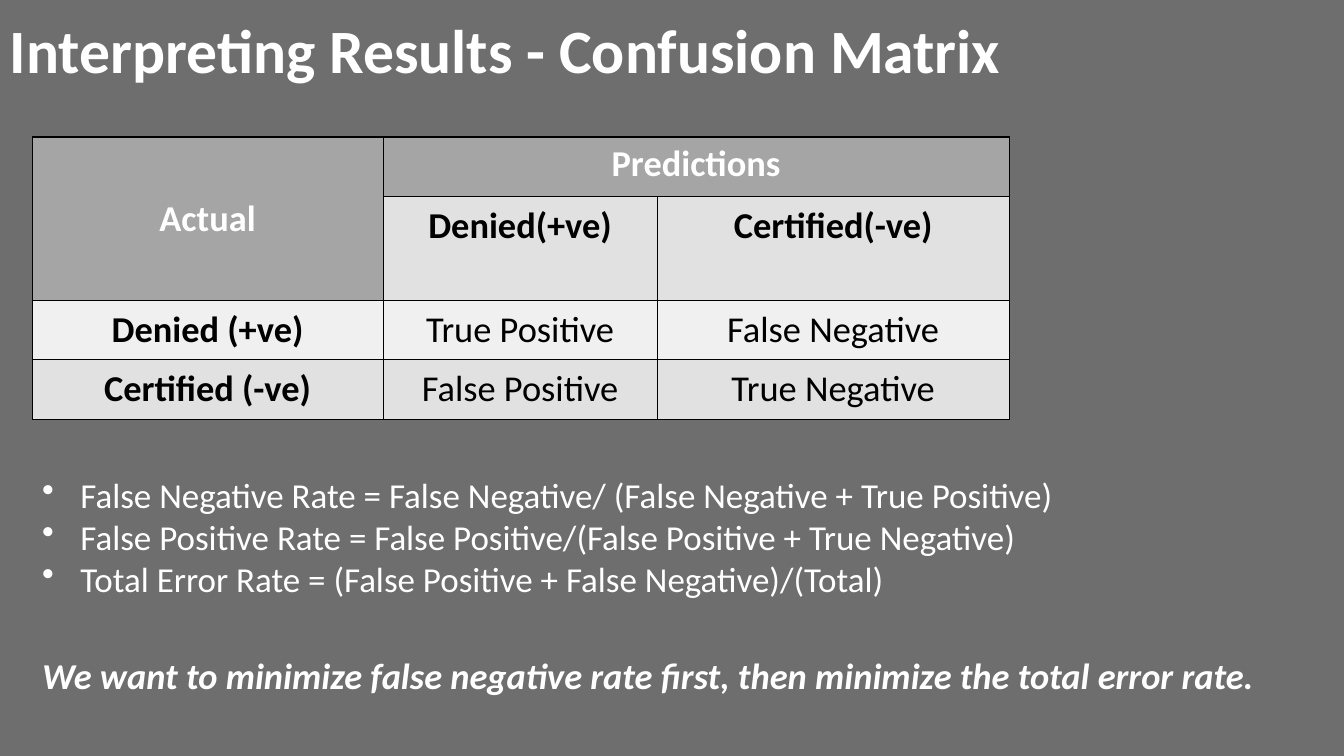
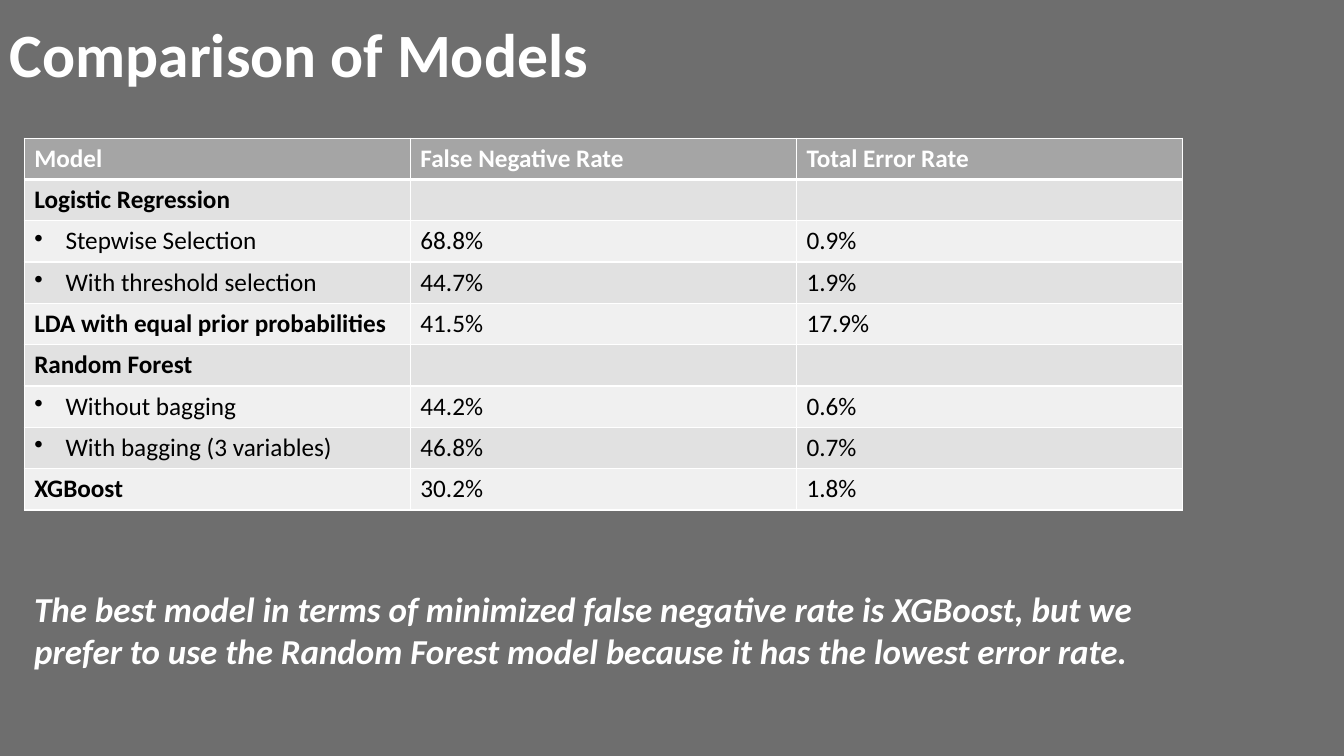
from dataclasses import dataclass

from pptx import Presentation
from pptx.dml.color import RGBColor
from pptx.enum.text import MSO_ANCHOR, PP_ALIGN
from pptx.oxml import parse_xml
from pptx.oxml.ns import nsdecls
from pptx.slide import Slide
from pptx.table import Table, _Cell
from pptx.text.text import TextFrame
from pptx.util import Inches, Pt


@dataclass(frozen=True)
class Theme:
    font: str = "Calibri"
    page: str = "6E6E6E"
    light: str = "FFFFFF"
    dark: str = "000000"
    header: str = "A5A5A5"
    bands: tuple[str, str] = ("E1E1E1", "F0F0F0")
    title_size: int = 44
    matrix_size: int = 26
    body_size: int = 25
    models_size: int = 18


@dataclass(frozen=True)
class Area:
    left: float
    top: float
    width: float
    height: float

    def lengths(self) -> tuple[int, ...]:
        return tuple(Inches(n) for n in (self.left, self.top, self.width, self.height))


@dataclass(frozen=True)
class Model:
    name: str
    false_negative: str = ""
    total_error: str = ""
    variant: bool = False


THEME = Theme()
PAGE_WIDTH, PAGE_HEIGHT = 13.33, 7.5

MATRIX = (
    ("Actual", "Predictions", ""),
    ("", "Denied(+ve)", "Certified(-ve)"),
    ("Denied (+ve)", "True Positive", "False Negative"),
    ("Certified (-ve)", "False Positive", "True Negative"),
)
RATES = (
    "False Negative Rate = False Negative/ (False Negative + True Positive)",
    "False Positive Rate = False Positive/(False Positive + True Negative)",
    "Total Error Rate = (False Positive + False Negative)/(Total)",
)
MODELS = (
    Model("Logistic Regression"),
    Model("Stepwise Selection", "68.8%", "0.9%", variant=True),
    Model("With threshold selection", "44.7%", "1.9%", variant=True),
    Model("LDA with equal prior probabilities", "41.5%", "17.9%"),
    Model("Random Forest"),
    Model("Without bagging", "44.2%", "0.6%", variant=True),
    Model("With bagging (3 variables)", "46.8%", "0.7%", variant=True),
    Model("XGBoost", "30.2%", "1.8%"),
)


def write(frame: TextFrame, *lines: str, size: int, color: str = THEME.light,
          bold: bool = False, italic: bool = False, align: PP_ALIGN = PP_ALIGN.LEFT,
          bullet_indent: float = 0, line_spacing: float = 1.0) -> None:
    """Fill the frame with one paragraph per line, bulleted if an indent is given."""
    for index, line in enumerate(lines):
        para = frame.add_paragraph() if index else frame.paragraphs[0]
        para.alignment = align
        para.line_spacing = line_spacing
        para.font.size = Pt(size)
        if bullet_indent:
            properties = para._p.get_or_add_pPr()
            properties.set("marL", str(Inches(bullet_indent)))
            properties.set("indent", str(-Inches(bullet_indent)))
            properties.insert_element_before(
                parse_xml(f'<a:buChar {nsdecls("a")} char="•"/>'), "a:tabLst", "a:defRPr")
        if not line:
            continue
        span = para.add_run()
        span.text = line
        span.font.name = THEME.font
        span.font.size = Pt(size)
        span.font.bold = bold
        span.font.italic = italic
        span.font.color.rgb = RGBColor.from_string(color)


def add_text(page: Slide, area: Area, *lines: str,
             anchor: MSO_ANCHOR = MSO_ANCHOR.TOP, **text_format) -> None:
    frame = page.shapes.add_textbox(*area.lengths()).text_frame
    frame.word_wrap = True
    frame.vertical_anchor = anchor
    write(frame, *lines, **text_format)


def add_page(deck: Presentation, title: str, title_height: float) -> Slide:
    page = deck.slides.add_slide(deck.slide_layouts[6])
    add_text(page, Area(0, 0, PAGE_WIDTH, title_height), title, anchor=MSO_ANCHOR.MIDDLE,
             size=THEME.title_size, bold=True, line_spacing=0.9)
    return page


def add_grid(page: Slide, left: float, top: float,
             widths: list[float], heights: list[float]) -> Table:
    """Add an empty table whose cells are styled one by one."""
    area = Area(left, top, sum(widths), sum(heights))
    table = page.shapes.add_table(len(heights), len(widths), *area.lengths()).table
    table.first_row = table.horz_banding = False
    for column, width in zip(table.columns, widths):
        column.width = Inches(width)
    for row, height in zip(table.rows, heights):
        row.height = Inches(height)
    return table


def paint(cell: _Cell, fill: str, border: str, top: float = 1, bottom: float = 1) -> None:
    """Set the fill and the four borders, with widths in points."""
    properties = cell._tc.get_or_add_tcPr()
    for side, width in (("L", 1), ("R", 1), ("T", top), ("B", bottom)):
        properties.append(parse_xml(
            f'<a:ln{side} {nsdecls("a")} w="{Pt(width)}"><a:solidFill>'
            f'<a:srgbClr val="{border}"/></a:solidFill></a:ln{side}>'))
    cell.fill.solid()
    cell.fill.fore_color.rgb = RGBColor.from_string(fill)


def set_margins(cell: _Cell, side: float, edge: float) -> None:
    cell.margin_left = cell.margin_right = Inches(side)
    cell.margin_top = cell.margin_bottom = Inches(edge)


def add_matrix(page: Slide) -> None:
    table = add_grid(page, 0.32, 1.36, [3.48, 2.72, 3.49], [0.59, 1.03, 0.59, 0.59])
    for row, texts in enumerate(MATRIX):
        for column, text in enumerate(texts):
            cell = table.cell(row, column)
            is_header = row == 0 or (row == 1 and column == 0)
            paint(cell, THEME.header if is_header else THEME.bands[(row + 1) % 2], THEME.dark)
            set_margins(cell, *((0.09, 0.05) if is_header else (0.18, 0.07)))
            write(cell.text_frame, text, size=THEME.matrix_size, align=PP_ALIGN.CENTER,
                  color=THEME.light if is_header else THEME.dark,
                  bold=row < 2 or column == 0)
    actual = table.cell(0, 0)
    actual.merge(table.cell(1, 0))
    actual.vertical_anchor = MSO_ANCHOR.MIDDLE
    table.cell(0, 1).merge(table.cell(0, 2))


def add_models(page: Slide) -> None:
    rule = 3
    table = add_grid(page, 0.24, 1.37, [3.83] * 3, [0.41] * (len(MODELS) + 1))
    for column, heading in enumerate(("Model", "False Negative Rate", "Total Error Rate")):
        cell = table.cell(0, column)
        paint(cell, THEME.header, THEME.light, bottom=rule)
        write(cell.text_frame, heading, size=THEME.models_size, bold=True)
    for row, model in enumerate(MODELS, start=1):
        texts = (model.name, model.false_negative, model.total_error)
        for column, text in enumerate(texts):
            cell = table.cell(row, column)
            is_name = column == 0
            paint(cell, THEME.bands[(row + 1) % 2], THEME.light, top=rule if row == 1 else 1)
            write(cell.text_frame, text, size=THEME.models_size, color=THEME.dark,
                  bold=is_name and not model.variant,
                  bullet_indent=0.31 if is_name and model.variant else 0)


def main() -> None:
    deck = Presentation()
    deck.slide_width, deck.slide_height = Inches(PAGE_WIDTH), Inches(PAGE_HEIGHT)
    background = deck.slide_master.background.fill
    background.solid()
    background.fore_color.rgb = RGBColor.from_string(THEME.page)

    page = add_page(deck, "Interpreting Results - Confusion Matrix", 1.07)
    add_matrix(page)
    add_text(page, Area(0.32, 4.65, 11.03, 1.36), *RATES,
             size=THEME.body_size, bullet_indent=0.38)
    add_text(page, Area(0.32, 6.43, 13.01, 0.54),
             "We want to minimize false negative rate first, "
             "then minimize the total error rate.",
             size=THEME.matrix_size, bold=True, italic=True)

    page = add_page(deck, "Comparison of Models", 1.14)
    add_models(page)
    add_text(page, Area(0.24, 5.78, 11.61, 0.94),
             "The best model in terms of minimized false negative rate is XGBoost, but we "
             "prefer to use the Random Forest model because it has the lowest error rate.",
             size=THEME.body_size, bold=True, italic=True)

    deck.save("out.pptx")


if __name__ == "__main__":
    main()
